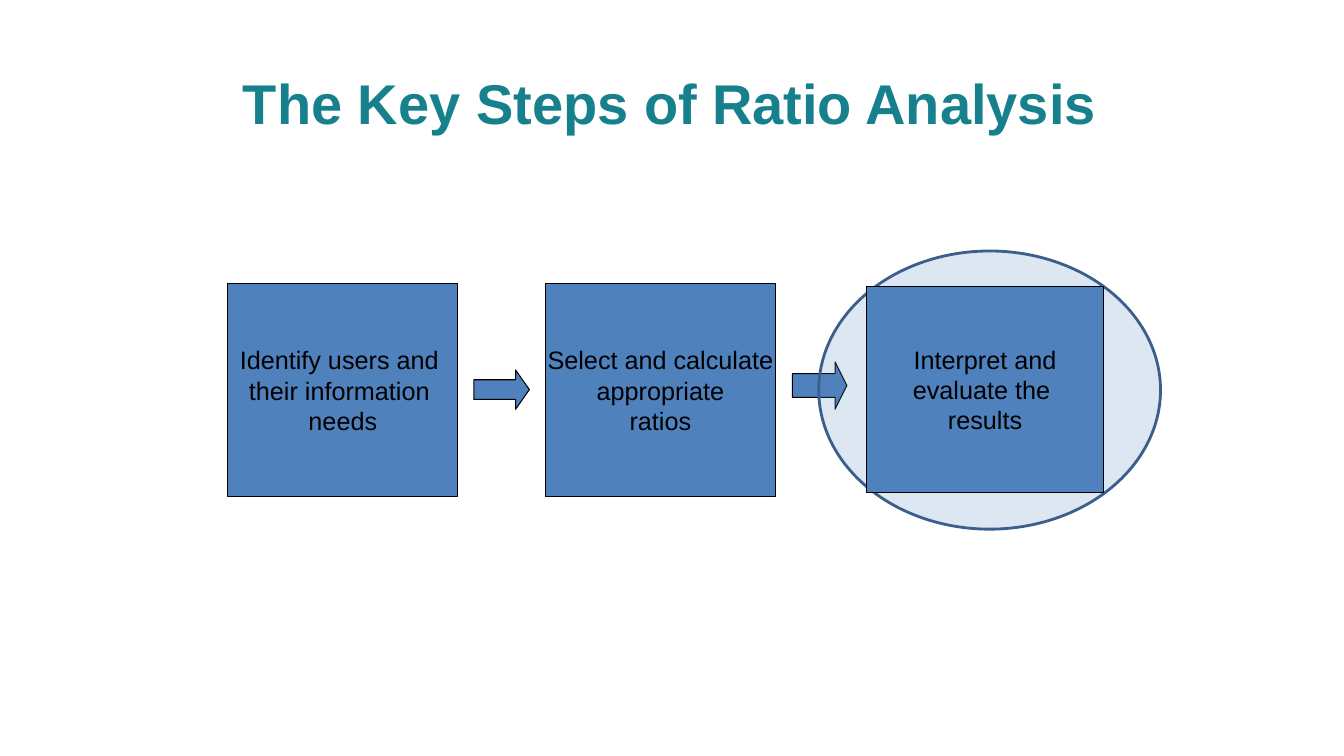
import pptx
import pptx.dml.color
import pptx.enum.shapes
import pptx.enum.text
import pptx.oxml
import pptx.oxml.ns
import pptx.util
from pptx.util import Inches

SHAPES = pptx.enum.shapes.MSO_SHAPE
ALIGN = pptx.enum.text.PP_ALIGN
ANCHOR = pptx.enum.text.MSO_ANCHOR


def color(value):
    return pptx.dml.color.RGBColor.from_string(value)


def write_text(frame, lines, size=18, fill="000000", bold=False, font="Arial",
               align=ALIGN.CENTER, anchor=ANCHOR.MIDDLE, wrap=False, spacing=None):
    frame.word_wrap = wrap
    frame.vertical_anchor = anchor
    for index, line in enumerate(lines):
        paragraph = frame.add_paragraph() if index else frame.paragraphs[0]
        paragraph.alignment = align
        if spacing:
            paragraph.line_spacing = pptx.util.Pt(spacing)
        run = paragraph.add_run()
        run.text = line
        run.font.name = font
        run.font.size = pptx.util.Pt(size)
        run.font.bold = bold
        run.font.color.rgb = color(fill)


class SlideBuilder:
    blue = "4F81BD"
    outline = "000000"
    highlight_outline = "3A5F8C"
    title_color = "16818D"

    def __init__(self, slide):
        self.slide = slide

    def title(self, text, left, top, width, height):
        shape = self.slide.shapes.add_textbox(
            Inches(left), Inches(top), Inches(width), Inches(height))
        frame = shape.text_frame
        frame.margin_left = frame.margin_top = 0
        frame.margin_right = frame.margin_bottom = 0
        write_text(frame, [text], size=40, fill=self.title_color, bold=True,
                   align=ALIGN.LEFT, anchor=ANCHOR.TOP, wrap=True, spacing=48)

    def shape(self, kind, left, top, width, height, line=outline, line_width=0.75):
        shape = self.slide.shapes.add_shape(
            kind, Inches(left), Inches(top), Inches(width), Inches(height))
        shape.shadow.inherit = False
        shape.fill.solid()
        shape.fill.fore_color.rgb = color(self.blue)
        shape.line.color.rgb = color(line)
        shape.line.width = pptx.util.Pt(line_width)
        return shape

    def step(self, lines, left, top, width, height):
        shape = self.shape(SHAPES.RECTANGLE, left, top, width, height)
        write_text(shape.text_frame, lines)

    def arrow(self, left, top, width, height, head):
        shape = self.shape(SHAPES.RIGHT_ARROW, left, top, width, height)
        shape.adjustments[0] = 0.5
        shape.adjustments[1] = head

    def highlight(self, left, top, width, height, opacity):
        shape = self.shape(SHAPES.OVAL, left, top, width, height,
                           line=self.highlight_outline, line_width=2)
        fill_color = shape.fill._xPr.find(
            pptx.oxml.ns.qn("a:solidFill")).find(pptx.oxml.ns.qn("a:srgbClr"))
        alpha = pptx.oxml.parse_xml(
            f'<a:alpha {pptx.oxml.ns.nsdecls("a")} val="{opacity * 1000}"/>')
        fill_color.append(alpha)


def main():
    presentation = pptx.Presentation()
    presentation.slide_width = Inches(13.33)
    presentation.slide_height = Inches(7.5)
    slide = presentation.slides.add_slide(presentation.slide_layouts[6])
    builder = SlideBuilder(slide)

    builder.title("The Key Steps of Ratio Analysis", 2.41, 0.68, 8.5, 1.02)
    builder.step(["Identify users and ", "their information ", "needs"],
                 2.26, 2.81, 2.28, 2.12)
    builder.arrow(4.7, 3.67, 0.55, 0.39, head=0.35)
    builder.step(["Select and calculate", "appropriate", "ratios"],
                 5.41, 2.81, 2.28, 2.12)
    builder.arrow(7.86, 3.59, 0.54, 0.47, head=0.25)
    builder.highlight(8.12, 2.49, 3.39, 2.76, opacity=19)
    builder.step(["Interpret and", "evaluate the ", "results"],
                 8.59, 2.84, 2.36, 2.05)

    presentation.save("out.pptx")


if __name__ == "__main__":
    main()
